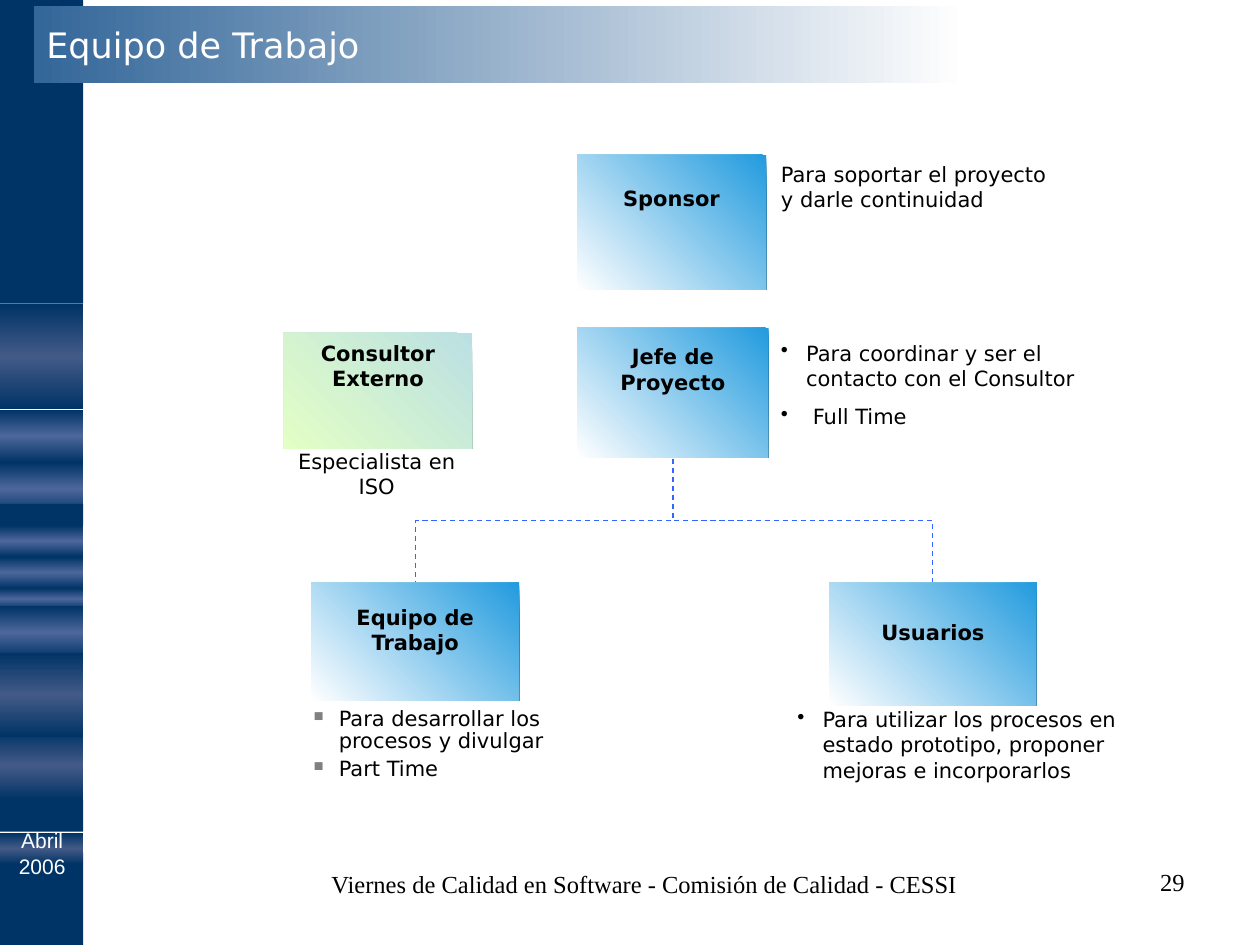
from lxml.etree import SubElement
from pptx import Presentation
from pptx.dml.color import RGBColor
from pptx.enum.dml import MSO_LINE
from pptx.enum.shapes import MSO_CONNECTOR, MSO_SHAPE
from pptx.enum.text import MSO_ANCHOR, PP_ALIGN
from pptx.oxml.ns import qn
from pptx.util import Inches, Pt

WHITE = RGBColor(0xFF, 0xFF, 0xFF)
BLACK = RGBColor(0x00, 0x00, 0x00)
GRAY = RGBColor(0x80, 0x80, 0x80)
NAVY = RGBColor(0x00, 0x33, 0x66)
DUSK = RGBColor(0x43, 0x5A, 0x87)
SLATE = RGBColor(0x4D, 0x67, 0x9B)
STEEL = RGBColor(0x33, 0x66, 0x99)
SKY = RGBColor(0x22, 0x9B, 0xDE)
AQUA = RGBColor(0xBB, 0xE0, 0xE3)
LIME = RGBColor(0xE2, 0xFF, 0xC5)
LINE_BLUE = RGBColor(0x33, 0x66, 0xFF)

presentation = Presentation()
presentation.slide_width = Inches(10)
presentation.slide_height = Inches(7.5)
slide = presentation.slides.add_slide(presentation.slide_layouts[6])

# Grid of 100 columns by 75 rows
COLUMN = presentation.slide_width // 100
ROW = presentation.slide_height // 75


def add_block(area, colors=(), angle=90, kind=MSO_SHAPE.RECTANGLE):
    """Add a shape filled with one colour or an even gradient; a text box if no colour."""
    left, top, width, height = area
    place = [int(left * COLUMN), int(top * ROW), int(width * COLUMN), int(height * ROW)]
    if not colors:
        return slide.shapes.add_textbox(*place)
    shape = slide.shapes.add_shape(kind, *place)
    shape.shadow.inherit = False
    shape.line.fill.background()
    shape.fill.solid()
    shape.fill.fore_color.rgb = colors[0]
    if len(colors) > 1:
        solid = shape._element.spPr.find(qn("a:solidFill"))
        gradient = solid.makeelement(qn("a:gradFill"), {"rotWithShape": "1"})
        stops = SubElement(gradient, qn("a:gsLst"))
        for index, color in enumerate(colors):
            position = 100000 * index // (len(colors) - 1)
            stop = SubElement(stops, qn("a:gs"), pos=str(position))
            SubElement(stop, qn("a:srgbClr"), val=str(color))
        SubElement(gradient, qn("a:lin"), ang=str(angle * 60000), scaled="0")
        solid.getparent().replace(solid, gradient)
    return shape


def write_text(shape, lines, size=12, font="DejaVu Sans", color=BLACK, bold=False,
               align=PP_ALIGN.LEFT, anchor=MSO_ANCHOR.TOP, gap=0, spacing=None, bullet=None):
    """Write one paragraph per line; bullet is (character, colour, size in percent)."""
    frame = shape.text_frame
    frame.word_wrap = True
    frame.vertical_anchor = anchor
    for index, line in enumerate(lines):
        paragraph = frame.add_paragraph() if index else frame.paragraphs[0]
        paragraph.alignment = align
        if spacing:
            paragraph.line_spacing = spacing
        if index:
            paragraph.space_before = Pt(gap)
        if bullet:
            character, bullet_color, percent = bullet
            properties = paragraph._p.get_or_add_pPr()
            properties.set("marL", str(2 * COLUMN))
            properties.set("indent", str(-2 * COLUMN))
            tint = SubElement(properties, qn("a:buClr"))
            SubElement(tint, qn("a:srgbClr"), val=str(bullet_color))
            SubElement(properties, qn("a:buSzPct"), val=str(percent * 1000))
            SubElement(properties, qn("a:buChar"), char=character)
        run = paragraph.add_run()
        run.text = line
        run.font.size = Pt(size)
        run.font.name = font
        run.font.bold = bold
        run.font.color.rgb = color


# Side band: top, height and glow colour of each stripe, back to front
stripes = [
    (-0.3, 24.4, None), (67.7, 7.6, None), (58, 5.5, DUSK), (63.5, 2.5, None),
    (66.1, 2.5, DUSK), (24.1, 8.4, DUSK), (32.5, 4.2, SLATE), (36.7, 4.2, SLATE),
    (40, 1.7, None), (46.7, 1.7, SLATE), (48.1, 4.2, SLATE), (44.2, 2.5, SLATE),
    (41.7, 2.5, SLATE), (51.8, 6.7, DUSK),
]
for top, height, glow in stripes:
    add_block((-0.1, top, 6.7, height), (NAVY, glow, NAVY) if glow else (NAVY,))

date = add_block((-8.3, 67, 23.3, 5.2))
date.text_frame.margin_bottom = int(2.5 * ROW)
write_text(date, ["Abril", "2006"], font="Arial", color=WHITE,
           align=PP_ALIGN.CENTER, anchor=MSO_ANCHOR.BOTTOM)

title = add_block((2.7, 0.5, 74, 6.1), (WHITE, STEEL), 180)
write_text(title, ["Equipo de Trabajo"], size=20, color=WHITE, anchor=MSO_ANCHOR.MIDDLE)

# Roles: area, rows above the text, lines, gradient
BLUE_FADE = (SKY, WHITE)
roles = [
    ((45.8, 26, 15.2, 10.3), 1.3, ["Jefe de Proyecto"], BLUE_FADE),
    ((65.8, 46.2, 16.5, 9.8), 3, ["Usuarios"], BLUE_FADE),
    ((24.7, 46.2, 16.5, 9.4), 1.8, ["Equipo de Trabajo"], BLUE_FADE),
    ((45.8, 12.3, 15, 10.7), 2.4, ["Sponsor"], BLUE_FADE),
    ((22.5, 26.4, 15, 9.2), 0.6, ["Consultor", "Externo"], (AQUA, LIME)),
]
for area, inset, lines, colors in roles:
    role = add_block(area, colors, 135, MSO_SHAPE.CUBE)
    role.adjustments[0] = 0
    role.text_frame.margin_top = int(inset * ROW)
    write_text(role, lines, bold=True, align=PP_ALIGN.CENTER)

# Notes beside and below the roles
DOT = ("•", BLACK, 100)
SQUARE = ("■", GRAY, 65)
notes = [
    ((61, 12.3, 23.6, 5), ["Para soportar el proyecto y darle continuidad"], {}),
    ((61, 26.5, 27.3, 8.1),
     ["Para coordinar y ser el contacto con el Consultor", " Full Time"],
     {"bullet": DOT, "gap": 7.5}),
    ((23.9, 55.7, 26.1, 6.8),
     ["Para desarrollar los procesos y divulgar", "Part Time"],
     {"bullet": SQUARE, "gap": 3, "spacing": 0.9}),
    ((62.3, 55.6, 27.7, 7),
     ["Para utilizar los procesos en estado prototipo, proponer mejoras e incorporarlos"],
     {"bullet": DOT}),
    ((21.6, 35.1, 16.6, 3), ["Especialista en ISO"], {"align": PP_ALIGN.CENTER}),
]
for area, lines, style in notes:
    write_text(add_block(area), lines, **style)

# Elbows leave the project lead downwards, so each is laid out sideways and turned
start_x, start_y, end_y = 53.4, 36.4, 46.2
middle_y = (start_y + end_y) / 2
for end_x, quarter_turns in ((33, 1), (74, 3)):
    middle_x = (start_x + end_x) / 2
    reach = (end_y - start_y) / 2 * (2 - quarter_turns)
    half_span = abs(end_x - start_x) / 2
    elbow = slide.shapes.add_connector(
        MSO_CONNECTOR.ELBOW,
        int((middle_x - reach) * COLUMN), int((middle_y - half_span) * ROW),
        int((middle_x + reach) * COLUMN), int((middle_y + half_span) * ROW))
    properties = elbow._element.spPr
    properties.find(qn("a:xfrm")).set("rot", str(quarter_turns * 90 * 60000))
    elbow.line.color.rgb = LINE_BLUE
    elbow.line.width = Pt(0.75)
    elbow.line.dash_style = MSO_LINE.DASH
    SubElement(properties, qn("a:effectLst"))

footer = add_block((16.1, 68.5, 67.7, 5.2))
footer.text_frame.margin_left = int(3.4 * COLUMN)
write_text(footer, ["Viernes de Calidad en Software - Comisión de Calidad - CESSI"],
           size=14, font="Times New Roman", align=PP_ALIGN.CENTER)
page_number = add_block((71.7, 68.3, 23.3, 5.2))
write_text(page_number, ["29"], size=14, font="Times New Roman", align=PP_ALIGN.RIGHT)

presentation.save("out.pptx")
